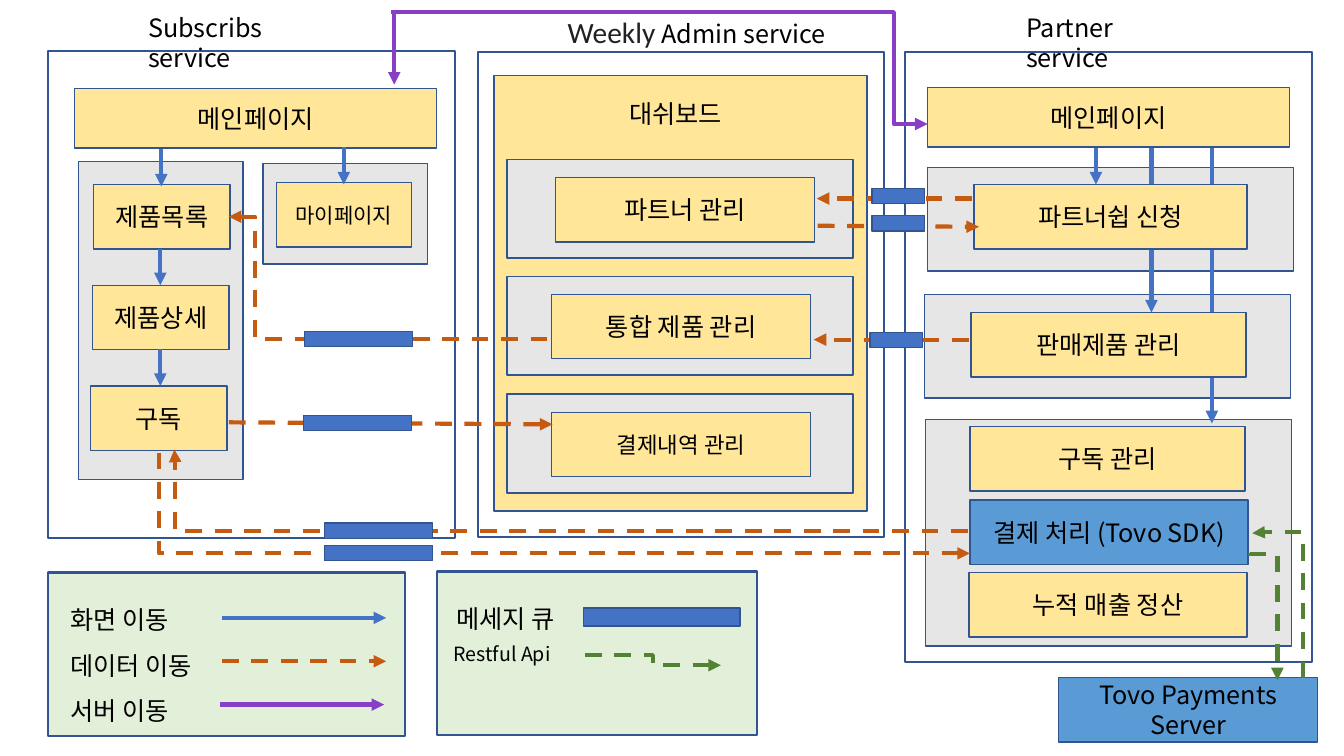
from dataclasses import dataclass
from typing import NamedTuple

from pptx import Presentation
from pptx.dml.color import RGBColor
from pptx.enum.dml import MSO_LINE
from pptx.enum.shapes import MSO_CONNECTOR, MSO_SHAPE
from pptx.enum.text import MSO_ANCHOR, MSO_AUTO_SIZE, PP_ALIGN
from pptx.oxml import parse_xml
from pptx.oxml.ns import nsdecls, qn
from pptx.util import Inches, Pt


@dataclass(frozen=True)
class Theme:
    font: str = "Noto Sans CJK KR"
    accent_font: str = "Calibri"
    body: float = 18
    accent: float = 21
    note: float = 14
    ink: str = "000000"
    soft_ink: str = "202124"
    border: str = "325491"
    white: str = "FFFFFF"
    group: str = "E7E6E6"
    card: str = "FFE699"
    payment: str = "5B9BD5"
    legend: str = "E2F0D9"
    screen: str = "4472C4"
    data: str = "C55A11"
    server: str = "883EC6"
    api: str = "548235"
    flow_width: float = 3


THEME = Theme()


class Box(NamedTuple):
    left: float
    top: float
    width: float
    height: float
    fill: str
    text: str = ""
    size: float = THEME.body
    border: float = 1


class Label(NamedTuple):
    left: float
    top: float
    width: float
    height: float
    lines: tuple[str, ...]
    size: float = THEME.body
    spacing: float = 1.0


class Flow(NamedTuple):
    x1: float
    y1: float
    x2: float
    y2: float
    color: str
    dashed: bool = False
    bend: float | None = None
    upright: bool = False
    head: bool = True


def frame(left: float, top: float, width: float, height: float) -> Box:
    return Box(left, top, width, height, THEME.white, border=1.5)


def group(left: float, top: float, width: float, height: float) -> Box:
    return Box(left, top, width, height, THEME.group)


def card(left: float, top: float, width: float, text: str,
         size: float = THEME.body, fill: str = THEME.card, height: float = 0.64) -> Box:
    return Box(left, top, width, height, fill, text, size)


def queue(left: float, top: float, width: float, height: float = 0.15) -> Box:
    return Box(left, top, width, height, THEME.screen)


def legend(left: float, top: float, width: float) -> Box:
    return Box(left, top, width, 1.62, THEME.legend, border=1.5)


def screen(x: float, y1: float, y2: float) -> Flow:
    return Flow(x, y1, x, y2, THEME.screen)


def data(x1: float, y1: float, x2: float, y2: float,
         bend: float | None = None, upright: bool = False) -> Flow:
    return Flow(x1, y1, x2, y2, THEME.data, True, bend, upright)


def api(x1: float, y1: float, x2: float, y2: float, bend: float, upright: bool = True) -> Flow:
    return Flow(x1, y1, x2, y2, THEME.api, True, bend, upright)


FRAMES = [frame(0.48, 0.51, 4.03, 4.83), frame(4.74, 0.52, 4.03, 4.81), frame(8.98, 0.52, 4.03, 6.05)]
GROUPS = [
    Box(4.9, 0.75, 3.7, 4.32, THEME.card),
    group(0.78, 1.6, 1.63, 3.16), group(2.61, 1.62, 1.63, 1),
    *[group(5.03, top, 3.43, 0.98) for top in (1.58, 2.74, 3.91)],
    group(9.2, 1.66, 3.63, 1.03), group(9.17, 2.92, 3.63, 1.03), group(9.18, 4.16, 3.63, 2.25),
]
PARTNER_FLOWS = [screen(12.02, 1.46, 4.2), screen(11.42, 1.46, 3.1)]
CARDS = [
    card(0.74, 0.88, 3.59, "메인페이지", height=0.59),
    card(0.93, 1.83, 1.35, "제품목록"),
    card(0.92, 2.83, 1.35, "제품상세"),
    card(0.9, 3.83, 1.35, "구독"),
    card(2.74, 1.81, 1.34, "마이페이지", 15),
    card(5.51, 1.76, 2.57, "파트너 관리"),
    card(5.47, 2.92, 2.57, "통합 제품 관리"),
    card(5.47, 4.09, 2.57, "결제내역 관리", 16),
    card(9.2, 0.87, 3.59, "메인페이지", height=0.59),
    card(9.66, 1.83, 2.71, "파트너쉽 신청"),
    card(9.63, 3.1, 2.73, "판매제품 관리"),
    card(9.62, 4.23, 2.73, "구독 관리"),
    card(9.62, 4.96, 2.76, "결제 처리 (Tovo SDK)", fill=THEME.payment),
    card(9.61, 5.68, 2.76, "누적 매출 정산"),
    card(10.5, 6.72, 2.57, "Tovo Payments Server", fill=THEME.payment),
]
LEGENDS = [legend(0.48, 5.68, 3.54), legend(4.33, 5.67, 3.18)]
FLOWS = [
    screen(1.6, 1.48, 1.85), screen(3.41, 1.46, 1.83), screen(1.59, 2.47, 2.83),
    screen(1.59, 3.46, 3.83), screen(10.87, 1.47, 1.83),
    data(5.43, 3.36, 2.27, 2.15, 0.918),
    data(2.27, 4.19, 5.48, 4.21),
    data(9.64, 1.97, 8.1, 1.97), data(8.11, 2.24, 9.71, 2.25), data(9.61, 3.37, 8.07, 3.37),
    data(1.58, 4.49, 9.62, 5.49, 1, True),
    data(9.6, 5.27, 1.73, 4.46, 0.999),
    api(12.4, 5.49, 12.67, 6.75, 0.007), api(12.92, 6.73, 12.42, 5.29, 1.006),
    Flow(3.88, 0.12, 9.2, 1.23, THEME.server, bend=0.937),
    Flow(3.91, 0.13, 3.91, 0.84, THEME.server),
    Flow(2.2, 6.13, 3.83, 6.13, THEME.screen),
    data(2.2, 6.56, 3.83, 6.56),
    Flow(2.18, 6.99, 3.81, 6.99, THEME.server),
    api(5.8, 6.5, 7.15, 6.6, 0.5, False),
]
QUEUES = [
    queue(5.79, 6.03, 1.55, 0.18), queue(3.02, 3.29, 1.07), queue(3.01, 4.12, 1.07),
    queue(3.22, 5.19, 1.07), queue(3.22, 5.41, 1.07),
    queue(8.65, 1.87, 0.52), queue(8.65, 2.14, 0.52), queue(8.63, 3.3, 0.52),
]
LABELS = [
    Label(1.37, 0.07, 2.15, 0.4, ("Subscribs service",)),
    Label(10.08, 0.07, 1.9, 0.4, ("Partner service",)),
    Label(6.14, 0.93, 1.21, 0.4, ("대쉬보드",)),
    Label(0.6, 5.8, 1.46, 1.46, ("화면 이동", "데이터 이동", "서버 이동"), spacing=1.5),
    Label(4.43, 5.79, 1.23, 0.55, ("메세지 큐",), spacing=1.5),
    Label(4.4, 6.32, 1.27, 0.34, ("Restful Api",), THEME.note),
]


def add_run(paragraph, text: str, size: float, font: str = THEME.font, color: str = THEME.ink) -> None:
    run = paragraph.add_run()
    run.text = text
    run.font.size = Pt(size)
    run.font.name = font
    run.font.color.rgb = RGBColor.from_string(color)
    run.font.fill._xPr.find(qn("a:latin")).addnext(
        parse_xml(f'<a:ea {nsdecls("a")} typeface="{THEME.font}"/>'))


def draw_box(slide, box: Box) -> None:
    shape = slide.shapes.add_shape(MSO_SHAPE.RECTANGLE, *map(Inches, box[:4]))
    shape.shadow.inherit = False
    shape.fill.solid()
    shape.fill.fore_color.rgb = RGBColor.from_string(box.fill)
    shape.line.color.rgb = RGBColor.from_string(THEME.border)
    shape.line.width = Pt(box.border)
    if box.text:
        shape.text_frame.word_wrap = True
        shape.text_frame.vertical_anchor = MSO_ANCHOR.MIDDLE
        paragraph = shape.text_frame.paragraphs[0]
        paragraph.alignment = PP_ALIGN.CENTER
        add_run(paragraph, box.text, box.size)


def draw_label(slide, label: Label) -> None:
    text_frame = slide.shapes.add_textbox(*map(Inches, label[:4])).text_frame
    text_frame.word_wrap = True
    for index, line in enumerate(label.lines):
        paragraph = text_frame.add_paragraph() if index else text_frame.paragraphs[0]
        paragraph.line_spacing = label.spacing
        add_run(paragraph, line, label.size)


def draw_flow(slide, flow: Flow) -> None:
    kind = MSO_CONNECTOR.STRAIGHT if flow.bend is None else MSO_CONNECTOR.ELBOW
    connector = slide.shapes.add_connector(kind, *map(Inches, flow[:4]))
    connector.line.color.rgb = RGBColor.from_string(flow.color)
    connector.line.width = Pt(THEME.flow_width)
    if flow.dashed:
        connector.line.dash_style = MSO_LINE.DASH
    properties = connector._element.spPr
    connector.line._get_or_add_ln().append(parse_xml(f'<a:tailEnd {nsdecls("a")} type="triangle"/>'))
    properties.append(parse_xml(f'<a:effectLst {nsdecls("a")}/>'))
    if flow.upright:
        turn_upright(connector, flow)
    if flow.bend == 1:
        properties.find(qn("a:prstGeom")).set("prst", "bentConnector2")
    elif flow.bend is not None:
        properties.find(qn("a:prstGeom")).get_or_add_avLst().append(parse_xml(
            f'<a:gd {nsdecls("a")} name="adj1" fmla="val {round(flow.bend * 100000)}"/>'))


def turn_upright(connector, flow: Flow) -> None:
    across, down = abs(flow.x2 - flow.x1), abs(flow.y2 - flow.y1)
    connector.left = Inches((flow.x1 + flow.x2 - down) / 2)
    connector.top = Inches((flow.y1 + flow.y2 - across) / 2)
    connector.width, connector.height = Inches(down), Inches(across)
    transform = connector._element.spPr.find(qn("a:xfrm"))
    transform.set("rot", str(270 * 60000))
    transform.set("flipH", str(int(flow.y2 > flow.y1)))
    transform.set("flipV", str(int(flow.x2 < flow.x1)))


def place_title(slide) -> None:
    title = slide.shapes.title
    title.left, title.top, title.width, title.height = map(Inches, (5.53, 0.09, 2.84, 0.45))
    title.text_frame.word_wrap = True
    title.text_frame.auto_size = MSO_AUTO_SIZE.NONE
    title.text_frame.vertical_anchor = MSO_ANCHOR.TOP
    paragraph = title.text_frame.paragraphs[0]
    paragraph.alignment = PP_ALIGN.LEFT
    add_run(paragraph, "Weekly", THEME.accent, THEME.accent_font, THEME.soft_ink)
    add_run(paragraph, " Admin service", THEME.body)


def main() -> None:
    presentation = Presentation()
    presentation.slide_width, presentation.slide_height = Inches(13.33), Inches(7.5)
    slide = presentation.slides.add_slide(presentation.slide_layouts[5])
    place_title(slide)
    for box in FRAMES + GROUPS:
        draw_box(slide, box)
    for flow in PARTNER_FLOWS:
        draw_flow(slide, flow)
    for box in CARDS + LEGENDS:
        draw_box(slide, box)
    for flow in FLOWS:
        draw_flow(slide, flow)
    for box in QUEUES:
        draw_box(slide, box)
    for label in LABELS:
        draw_label(slide, label)
    presentation.save("out.pptx")


if __name__ == "__main__":
    main()
